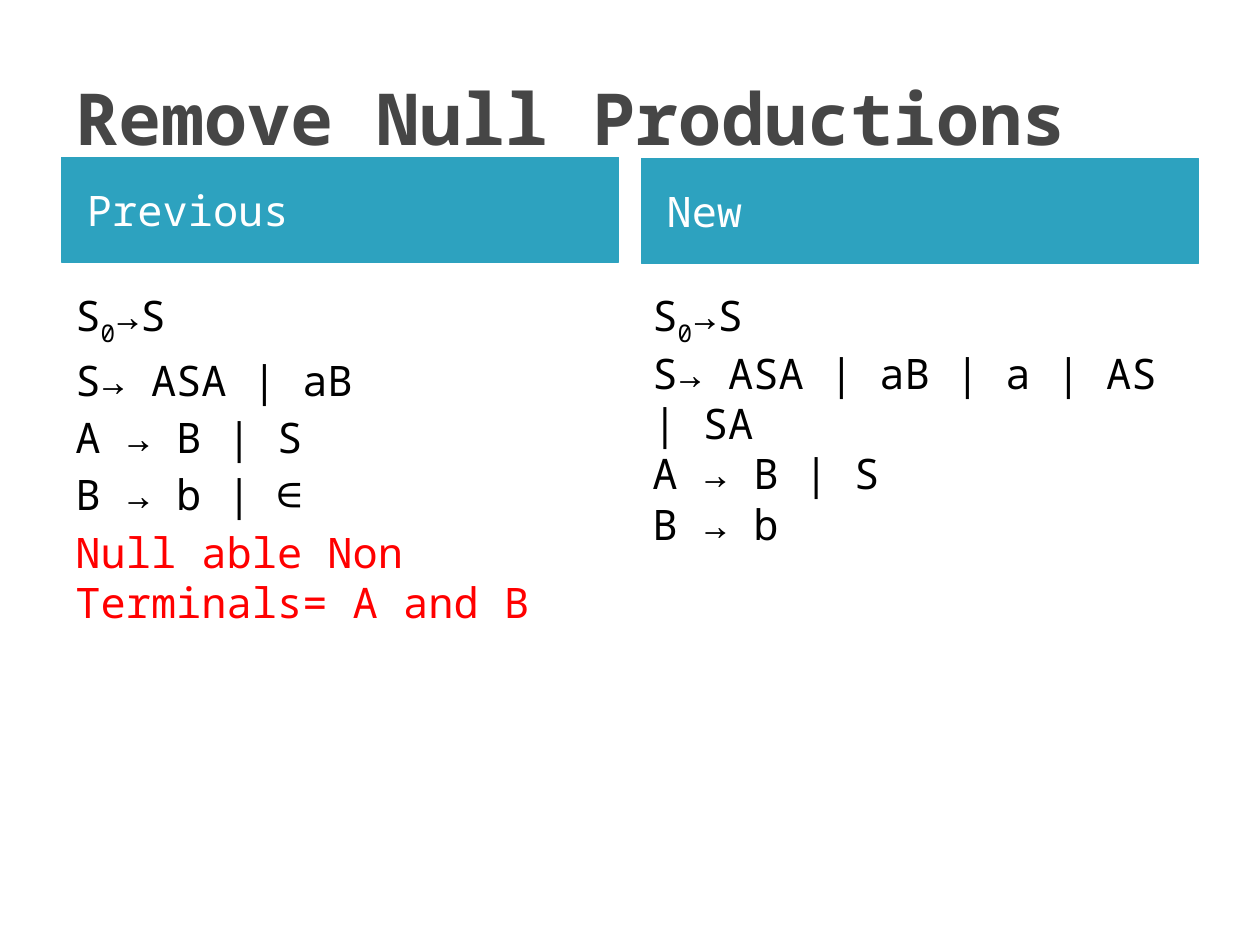
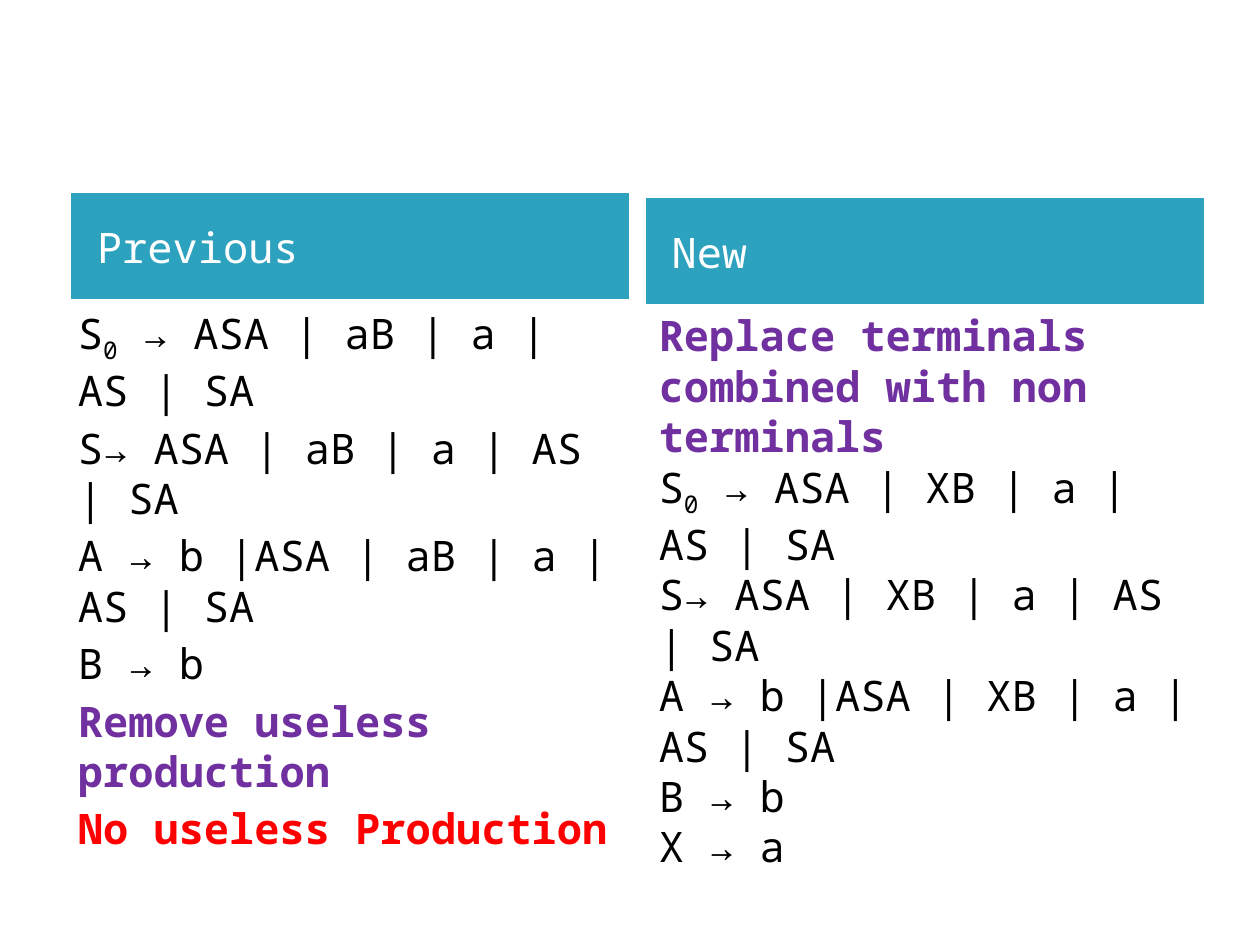
from pptx import Presentation
from pptx import util as u
from pptx.dml.color import RGBColor
from pptx.enum import shapes, text

EMU_PER_PX = 9144
FONT = "Noto Sans Mono"
TEAL, WHITE, BLACK = "2DA2BF", "FFFFFF", "000000"
GREY, RED, PURPLE = "464646", "FF0000", "7030A0"
COLUMN_WIDTH, BAND_HEIGHT, RULES_HEIGHT = 442, 83, 431
TITLE_ONLY, BLANK = 5, 6
START = "S_0→S"


def px(length):
    """Turn px into EMU."""
    return u.Emu(length * EMU_PER_PX)


def color(hex_code):
    """Turn a hex string into a colour."""
    return RGBColor.from_string(hex_code)


def style(paragraph, size, hex_code, bold=False):
    """Set the font of a left-aligned paragraph."""
    paragraph.alignment = text.PP_ALIGN.LEFT
    paragraph.font.name = FONT
    paragraph.font.size = u.Pt(size)
    paragraph.font.bold = bold
    paragraph.font.color.rgb = color(hex_code)


def add_title(slide, wording):
    """Place and format the slide title."""
    title = slide.shapes.title
    title.left, title.top, title.width, title.height = map(px, (50, 30, 900, 125))
    title.text_frame.text = wording
    title.text_frame.vertical_anchor = text.MSO_ANCHOR.MIDDLE
    style(title.text_frame.paragraphs[0], 41, GREY, bold=True)


def add_band(slide, left, top, heading):
    """Add the coloured band that heads a column."""
    band = slide.shapes.add_shape(
        shapes.MSO_SHAPE.RECTANGLE, px(left), px(top), px(COLUMN_WIDTH), px(BAND_HEIGHT))
    band.shadow.inherit = False
    band.fill.solid()
    band.fill.fore_color.rgb = color(TEAL)
    band.line.color.rgb = color(TEAL)
    band.line.width = u.Pt(0.75)
    frame = band.text_frame
    frame.margin_left = px(20)
    frame.vertical_anchor = text.MSO_ANCHOR.MIDDLE
    frame.text = heading
    style(frame.paragraphs[0], 24, WHITE)


def write_rule(paragraph, rule):
    """Write a production, lowering the index marked by _0."""
    head, index, tail = rule.partition("_0")
    paragraph.add_run().text = head
    if index:
        lowered = paragraph.add_run()
        lowered.text = index[1:]
        lowered._r.get_or_add_rPr().set("baseline", "-25000")
        paragraph.add_run().text = tail


def add_rules(slide, left, top, lines, gap=0):
    """Add a column of (wording, colour, bold) lines."""
    box = slide.shapes.add_textbox(px(left), px(top), px(COLUMN_WIDTH), px(RULES_HEIGHT))
    frame = box.text_frame
    frame.word_wrap = True
    for number, (wording, hex_code, bold) in enumerate(lines):
        paragraph = frame.add_paragraph() if number else frame.paragraphs[0]
        paragraph.space_before = u.Pt(gap if number else 0)
        style(paragraph, 24, hex_code, bold)
        write_rule(paragraph, wording)


def plain(*rules):
    """Make black lines from productions."""
    return [(rule, BLACK, False) for rule in rules]


def expanded(pair):
    """List the productions whose terminal pair is given."""
    choices = f"ASA | {pair} | a | AS | SA"
    return plain(f"S_0 → {choices}", f"S→ {choices}", f"A → b |{choices}", "B → b")


def add_null_slide(deck):
    """Add the slide on null productions."""
    slide = deck.slides.add_slide(deck.slide_layouts[TITLE_ONLY])
    add_title(slide, "Remove Null Productions")
    add_band(slide, 49, 125, "Previous")
    previous = plain(START, "S→ ASA | aB", "A → B | S", "B → b | ∈")
    nullable = ("Null able Non Terminals= A and B", RED, False)
    add_rules(slide, 50, 225, previous + [nullable], gap=4)
    add_band(slide, 509, 126, "New")
    add_rules(slide, 508, 225, plain(START, "S→ ASA | aB | a | AS | SA", "A → B | S", "B → b"))


def add_terminal_slide(deck):
    """Add the slide on replacing terminals."""
    slide = deck.slides.add_slide(deck.slide_layouts[BLANK])
    add_band(slide, 57, 154, "Previous")
    useless = [("Remove useless production", PURPLE, True),
               ("No useless Production", RED, True)]
    add_rules(slide, 52, 239, expanded("aB") + useless, gap=4)
    add_band(slide, 513, 158, "New")
    replace = ("Replace terminals combined with non terminals", PURPLE, True)
    add_rules(slide, 513, 241, [replace] + expanded("XB") + plain("X → a"))


def main():
    """Build and save the deck."""
    deck = Presentation()
    deck.slide_width, deck.slide_height = px(1000), px(750)
    add_null_slide(deck)
    add_terminal_slide(deck)
    deck.save("out.pptx")


if __name__ == "__main__":
    main()
